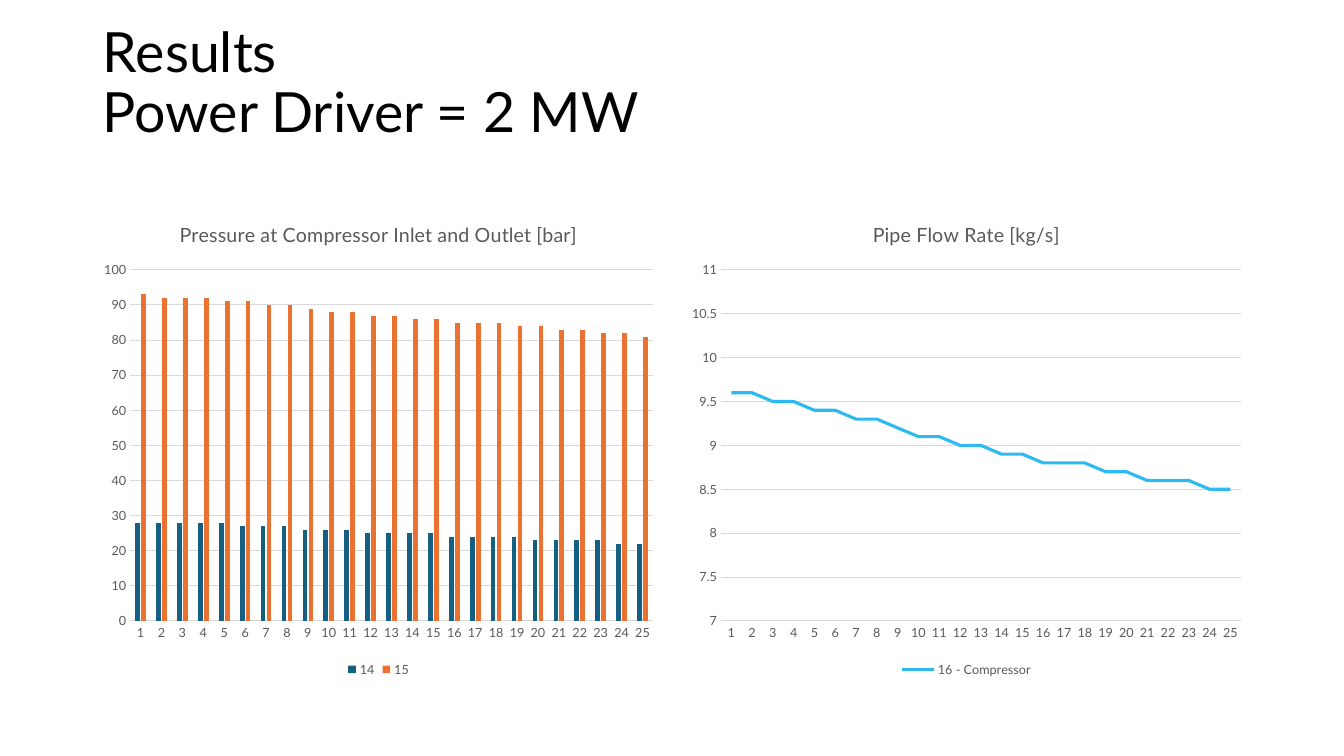
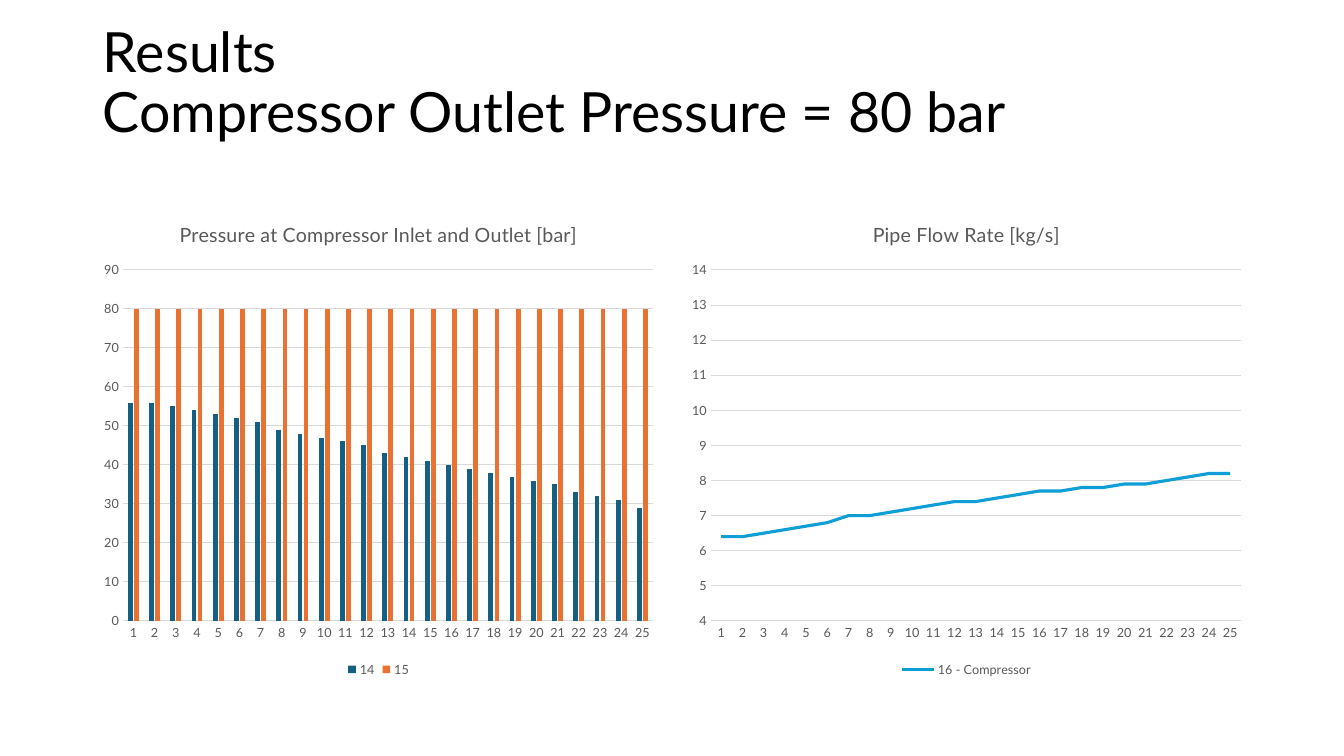
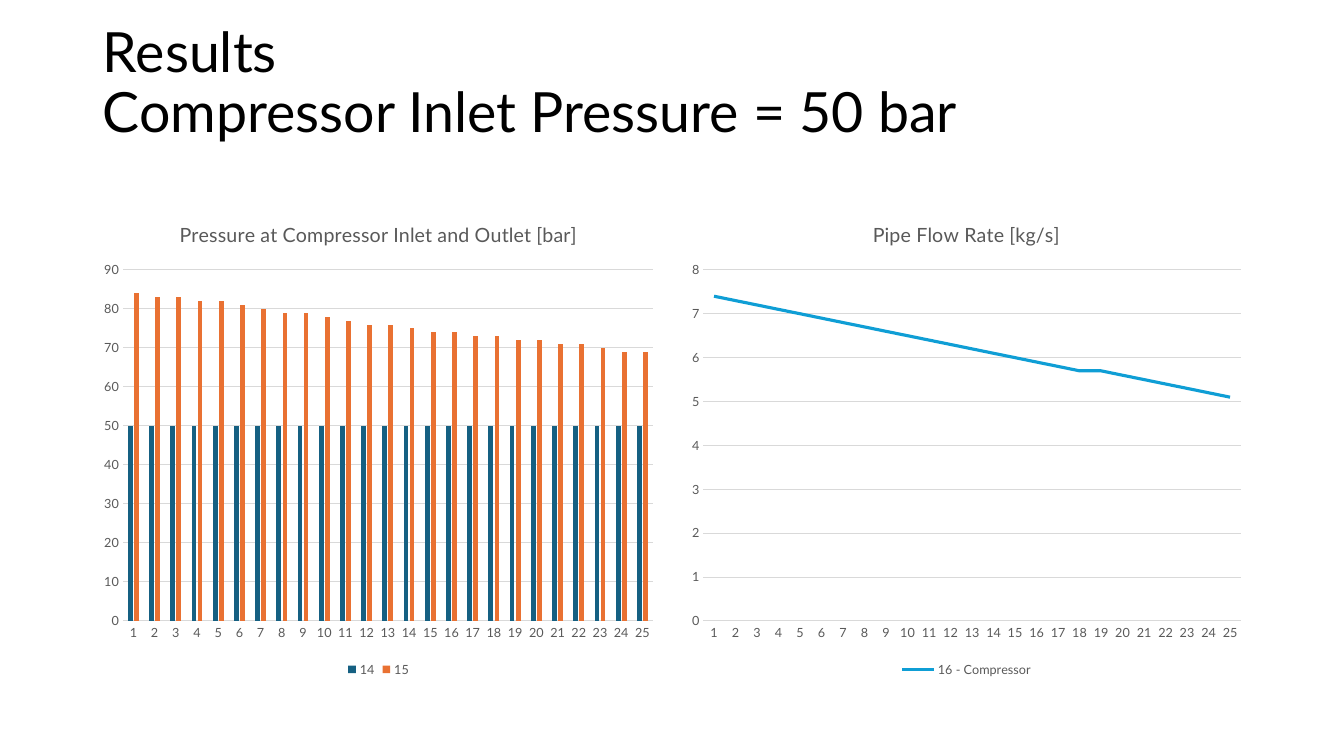
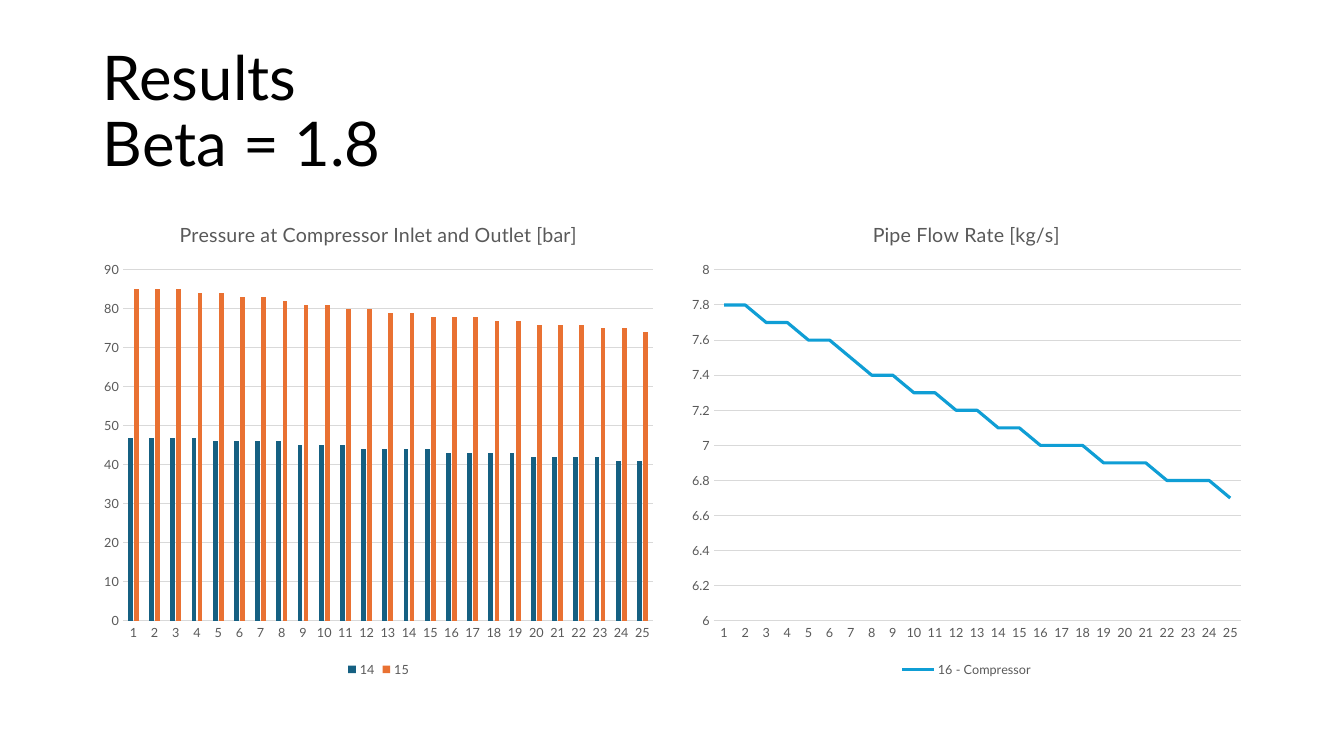
"""Builds four slides of compressor results, each with a pressure and a flow chart."""
from pptx import Presentation, util as u
from pptx.chart.data import CategoryChartData
from pptx.dml.color import RGBColor
from pptx.enum import chart as ch, text as tx

PX = 9144
FONT = "Lato"
HUES = {"ink": "000000", "grey": "595959", "grid": "D9D9D9", "inlet": "156082",
        "outlet": "E97132", "flow": "0F9ED5", "light": "2CBAF0"}
TOP, WIDE, HIGH = 200, 567, 476
LEFT, RIGHT = 92, 675
DRIVER = {
    "inlet": [28, 28, 28, 28, 28, 27, 27, 27, 26, 26, 26, 25, 25,
              25, 25, 24, 24, 24, 24, 23, 23, 23, 23, 22, 22],
    "outlet": [93, 92, 92, 92, 91, 91, 90, 90, 89, 88, 88, 87, 87,
               86, 86, 85, 85, 85, 84, 84, 83, 83, 82, 82, 81],
    "flow": [9.6, 9.6, 9.5, 9.5, 9.4, 9.4, 9.3, 9.3, 9.2, 9.1, 9.1, 9, 9,
             8.9, 8.9, 8.8, 8.8, 8.8, 8.7, 8.7, 8.6, 8.6, 8.6, 8.5, 8.5]}
OUTLET = {
    "inlet": [56, 56, 55, 54, 53, 52, 51, 49, 48, 47, 46, 45, 43,
              42, 41, 40, 39, 38, 37, 36, 35, 33, 32, 31, 29],
    "outlet": [80] * 25,
    "flow": [6.4, 6.4, 6.5, 6.6, 6.7, 6.8, 7, 7, 7.1, 7.2, 7.3, 7.4, 7.4,
             7.5, 7.6, 7.7, 7.7, 7.8, 7.8, 7.9, 7.9, 8, 8.1, 8.2, 8.2]}
INLET = {
    "inlet": [50] * 25,
    "outlet": [84, 83, 83, 82, 82, 81, 80, 79, 79, 78, 77, 76, 76,
               75, 74, 74, 73, 73, 72, 72, 71, 71, 70, 69, 69],
    "flow": [7.4, 7.3, 7.2, 7.1, 7, 6.9, 6.8, 6.7, 6.6, 6.5, 6.4, 6.3, 6.2,
             6.1, 6, 5.9, 5.8, 5.7, 5.7, 5.6, 5.5, 5.4, 5.3, 5.2, 5.1]}
BETA = {
    "inlet": [47, 47, 47, 47, 46, 46, 46, 46, 45, 45, 45, 44, 44,
              44, 44, 43, 43, 43, 43, 42, 42, 42, 42, 41, 41],
    "outlet": [85, 85, 85, 84, 84, 83, 83, 82, 81, 81, 80, 80, 79,
               79, 78, 78, 78, 77, 77, 76, 76, 76, 75, 75, 74],
    "flow": [7.8, 7.8, 7.7, 7.7, 7.6, 7.6, 7.5, 7.4, 7.4, 7.3, 7.3, 7.2, 7.2,
             7.1, 7.1, 7, 7, 7, 6.9, 6.9, 6.9, 6.8, 6.8, 6.8, 6.7]}


def hue(name):
    return RGBColor.from_string(HUES[name])


def style(font, size, name):
    font.name, font.size, font.bold = FONT, u.Pt(size), False
    font.color.rgb = hue(name)


def rule(line, name, width):
    line.color.rgb = hue(name)
    line.width = u.Pt(width)


def head(slide, case, size, foot):
    shape = slide.shapes.title
    shape.left, shape.top = LEFT * PX, 40 * PX
    shape.width, shape.height = 1150 * PX, 145 * PX
    frame = shape.text_frame
    frame.text = "Results\v" + case
    frame.auto_size = tx.MSO_AUTO_SIZE.NONE
    frame.vertical_anchor = tx.MSO_ANCHOR.MIDDLE
    frame.margin_bottom = foot * PX
    para = frame.paragraphs[0]
    para.alignment = tx.PP_ALIGN.LEFT
    para.line_spacing = 0.9
    for run in para.runs:
        style(run.font, size, "ink")


def graph(slide, kind, left, title, rows):
    """Add a chart with the shared look and return it."""
    data = CategoryChartData()
    data.categories = [str(n) for n in range(1, 26)]
    for name, vals in rows:
        data.add_series(name, vals)
    chart = slide.shapes.add_chart(
        kind, left * PX, TOP * PX, WIDE * PX, HIGH * PX, data).chart
    style(chart.font, 10, "ink")
    chart.has_title = True
    chart.chart_title.include_in_layout = False
    frame = chart.chart_title.text_frame
    frame.text = title
    style(frame.paragraphs[0].runs[0].font, 14, "grey")
    chart.has_legend = True
    chart.legend.position = ch.XL_LEGEND_POSITION.BOTTOM
    chart.legend.include_in_layout = False
    style(chart.legend.font, 9, "grey")
    for axis in (chart.category_axis, chart.value_axis):
        axis.major_tick_mark = axis.minor_tick_mark = ch.XL_TICK_MARK.NONE
        style(axis.tick_labels.font, 9, "grey")
    rule(chart.category_axis.format.line, "grid", 0.75)
    chart.value_axis.format.line.fill.background()
    rule(chart.value_axis.major_gridlines.format.line, "grid", 0.75)
    chart.plots[0].vary_by_categories = False
    return chart


def bars(slide, vals):
    chart = graph(slide, ch.XL_CHART_TYPE.COLUMN_CLUSTERED, LEFT,
                  "Pressure at Compressor Inlet and Outlet [bar]",
                  [("14", vals["inlet"]), ("15", vals["outlet"])])
    plot = chart.plots[0]
    plot.gap_width, plot.overlap = 219, -27
    for row, name in zip(plot.series, ("inlet", "outlet")):
        row.format.fill.solid()
        row.format.fill.fore_color.rgb = hue(name)


def curve(slide, vals, name, span):
    chart = graph(slide, ch.XL_CHART_TYPE.LINE, RIGHT, "Pipe Flow Rate [kg/s]",
                  [("16 - Compressor", vals["flow"])])
    if span:
        chart.value_axis.minimum_scale, chart.value_axis.maximum_scale = span
    row = chart.plots[0].series[0]
    row.smooth = False
    rule(row.format.line, name, 2.25)


def main():
    deck = Presentation()
    deck.slide_width, deck.slide_height = u.Inches(13.33), u.Inches(7.5)
    cases = [
        ("Power Driver = 2 MW", 39.6, 63, DRIVER, "light", (7, 11)),
        ("Compressor Outlet Pressure = 80 bar", 39.6, 63, OUTLET, "flow", (4, 14)),
        ("Compressor Inlet Pressure = 50 bar", 39.6, 63, INLET, "flow", None),
        ("Beta = 1.8", 44, 5, BETA, "flow", None)]
    for case, size, foot, vals, name, span in cases:
        slide = deck.slides.add_slide(deck.slide_layouts[5])
        head(slide, case, size, foot)
        bars(slide, vals)
        curve(slide, vals, name, span)
    deck.save("out.pptx")


if __name__ == "__main__":
    main()
